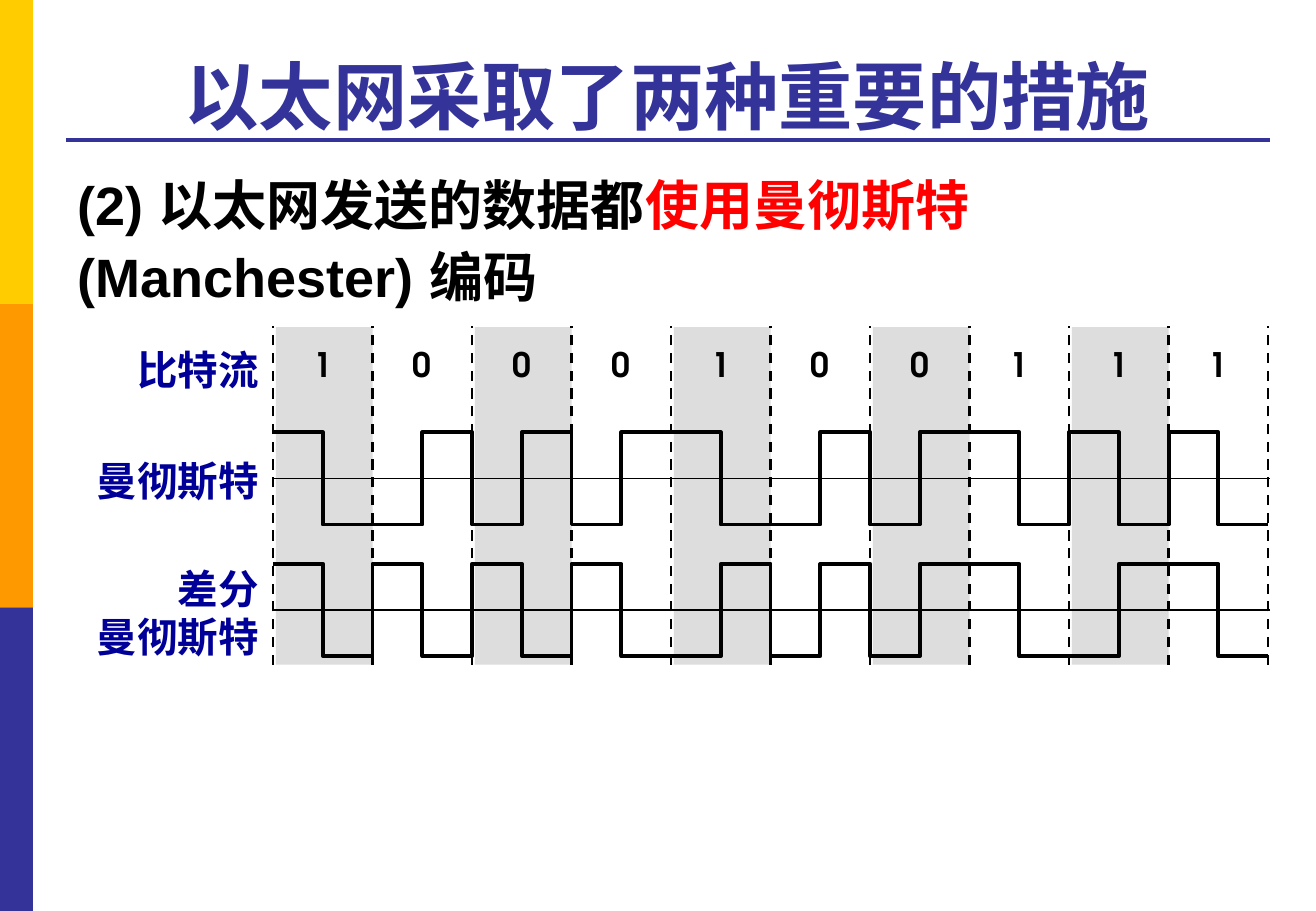
from dataclasses import dataclass

from lxml.etree import SubElement
from pptx import Presentation
from pptx.dml.color import RGBColor
from pptx.enum.dml import MSO_LINE
from pptx.enum.shapes import MSO_CONNECTOR, MSO_SHAPE
from pptx.enum.text import MSO_ANCHOR, MSO_AUTO_SIZE, PP_ALIGN
from pptx.oxml.ns import qn
from pptx.util import Cm, Pt


@dataclass(frozen=True)
class Theme:
    yellow: str = "FFCC00"
    orange: str = "FF9900"
    indigo: str = "333399"
    label: str = "000099"
    black: str = "000000"
    red: str = "FF0000"
    band: str = "DDDDDD"
    font: str = "Arial"
    digit_font: str = "TeX Gyre Adventor"
    title_size: int = 44
    body_size: int = 32
    label_size: int = 24
    digit_size: int = 20


THEME = Theme()
BITS = "1000100111"

# Lengths in centimetres
SLIDE_WIDTH, SLIDE_HEIGHT = 27.51, 19.05
CONTENT_LEFT, CONTENT_WIDTH = 1.37, 25.18
GRID_LEFT, GRID_TOP, GRID_BOTTOM = 5.71, 6.81, 13.9
BIT_WIDTH = 2.08
SIGNAL_HEIGHT = 1.93
MANCHESTER_TOP, DIFFERENTIAL_TOP = 9.04, 11.79
LABEL_LEFT, LABEL_WIDTH = 1.2, 4.46


def add_run(paragraph, text, size, color, font=THEME.font):
    run = paragraph.add_run()
    run.text = text
    run.font.name = font
    run.font.size = Pt(size)
    run.font.bold = True
    run.font.color.rgb = RGBColor.from_string(color)


def add_block(slide, left, top, width, height, color):
    shape = slide.shapes.add_shape(
        MSO_SHAPE.RECTANGLE, Cm(left), Cm(top), Cm(width), Cm(height))
    shape.shadow.inherit = False
    shape.fill.solid()
    shape.fill.fore_color.rgb = RGBColor.from_string(color)
    shape.line.fill.background()


def add_line(slide, start, end, color, width, dash=None):
    connector = slide.shapes.add_connector(
        MSO_CONNECTOR.STRAIGHT, *(Cm(value) for value in (*start, *end)))
    connector.line.color.rgb = RGBColor.from_string(color)
    connector.line.width = Pt(width)
    if dash:
        connector.line.dash_style = dash
    SubElement(connector._element.spPr, qn("a:effectLst"))


def add_text(slide, left, top, width, height, lines, alignment, size, color, font=THEME.font):
    box = slide.shapes.add_textbox(Cm(left), Cm(top), Cm(width), Cm(height))
    frame = box.text_frame
    frame.word_wrap = True
    for index, line in enumerate(lines):
        paragraph = frame.add_paragraph() if index else frame.paragraphs[0]
        paragraph.alignment = alignment
        add_run(paragraph, line, size, color, font)


def place(placeholder, top, height, anchor):
    """Move a placeholder into the content column and return its first paragraph."""
    placeholder.left, placeholder.top = Cm(CONTENT_LEFT), Cm(top)
    placeholder.width, placeholder.height = Cm(CONTENT_WIDTH), Cm(height)
    frame = placeholder.text_frame
    frame.auto_size = MSO_AUTO_SIZE.NONE
    frame.vertical_anchor = anchor
    return frame.paragraphs[0]


def add_frame(slide):
    """Draw the coloured side strip and the rule below the title."""
    third = SLIDE_HEIGHT / 3
    for index, color in enumerate((THEME.yellow, THEME.orange, THEME.indigo)):
        add_block(slide, 0, index * third, 0.69, third, color)
    add_line(slide, (CONTENT_LEFT, 2.92), (CONTENT_LEFT + CONTENT_WIDTH, 2.92),
             THEME.indigo, 2.25)


def add_title(slide):
    paragraph = place(slide.shapes.title, 0.53, 2.52, MSO_ANCHOR.BOTTOM)
    paragraph.alignment = PP_ALIGN.CENTER
    add_run(paragraph, "以太网采取了两种重要的措施", THEME.title_size, THEME.indigo)


def add_body(slide):
    paragraph = place(slide.placeholders[1], 3.33, 13.72, MSO_ANCHOR.TOP)
    paragraph.line_spacing = 1.1
    paragraph.space_before = Pt(6)
    properties = paragraph._p.get_or_add_pPr()
    properties.set("marL", "0")
    properties.set("indent", "0")
    SubElement(properties, qn("a:buNone"))
    for text, color in (("(2) 以太网发送的数据都", THEME.black),
                        ("使用曼彻斯特 ", THEME.red),
                        ("(Manchester) 编码", THEME.black)):
        add_run(paragraph, text, THEME.body_size, color)


def add_bit_grid(slide):
    edges = [GRID_LEFT + index * BIT_WIDTH for index in range(len(BITS) + 1)]
    for edge in edges[:-1:2]:
        add_block(slide, edge + 0.06, GRID_TOP + 0.03, BIT_WIDTH - 0.06,
                  GRID_BOTTOM - GRID_TOP - 0.03, THEME.band)
    for edge in edges:
        add_line(slide, (edge, GRID_BOTTOM), (edge, GRID_TOP), THEME.black, 1.5,
                 MSO_LINE.DASH)
    for edge, bit in zip(edges, BITS):
        add_text(slide, edge, 7.06, BIT_WIDTH, 1.09, [bit], PP_ALIGN.CENTER,
                 THEME.digit_size, THEME.black, THEME.digit_font)


def manchester_levels(bits):
    """A 1 goes from high to low in mid-bit, a 0 from low to high."""
    return [level for bit in bits for level in ((1, 0) if bit == "1" else (0, 1))]


def differential_levels(bits):
    """Every bit flips in the middle; a 0 also flips at its start."""
    levels = [1, 0]
    for bit in bits[1:]:
        first = levels[-1] if bit == "1" else 1 - levels[-1]
        levels += [first, 1 - first]
    return levels


def add_signal(slide, levels, top):
    """Draw the square wave of half-bit levels and its centre axis."""
    points = []
    for index, level in enumerate(levels):
        y = Cm(top + (1 - level) * SIGNAL_HEIGHT)
        for step in (index, index + 1):
            points.append((Cm(GRID_LEFT + step * BIT_WIDTH / 2), y))
    builder = slide.shapes.build_freeform(*points[0])
    builder.add_line_segments(points[1:], close=False)
    wave = builder.convert_to_shape()
    wave.shadow.inherit = False
    wave.fill.background()
    wave.line.color.rgb = RGBColor.from_string(THEME.black)
    wave.line.width = Pt(2.25)
    middle = top + SIGNAL_HEIGHT / 2
    add_line(slide, (GRID_LEFT, middle), (CONTENT_LEFT + CONTENT_WIDTH, middle),
             THEME.black, 1)


def add_labels(slide):
    for top, lines in ((7.09, ["比特流"]), (9.42, ["曼彻斯特"]),
                       (11.66, ["差分", "曼彻斯特"])):
        add_text(slide, LABEL_LEFT, top, LABEL_WIDTH, 1.27 * len(lines), lines,
                 PP_ALIGN.RIGHT, THEME.label_size, THEME.label)


def main():
    presentation = Presentation()
    presentation.slide_width = Cm(SLIDE_WIDTH)
    presentation.slide_height = Cm(SLIDE_HEIGHT)
    slide = presentation.slides.add_slide(presentation.slide_layouts[1])
    add_frame(slide)
    add_title(slide)
    add_body(slide)
    add_bit_grid(slide)
    add_signal(slide, manchester_levels(BITS), MANCHESTER_TOP)
    add_signal(slide, differential_levels(BITS), DIFFERENTIAL_TOP)
    add_labels(slide)
    presentation.save("out.pptx")


if __name__ == "__main__":
    main()
